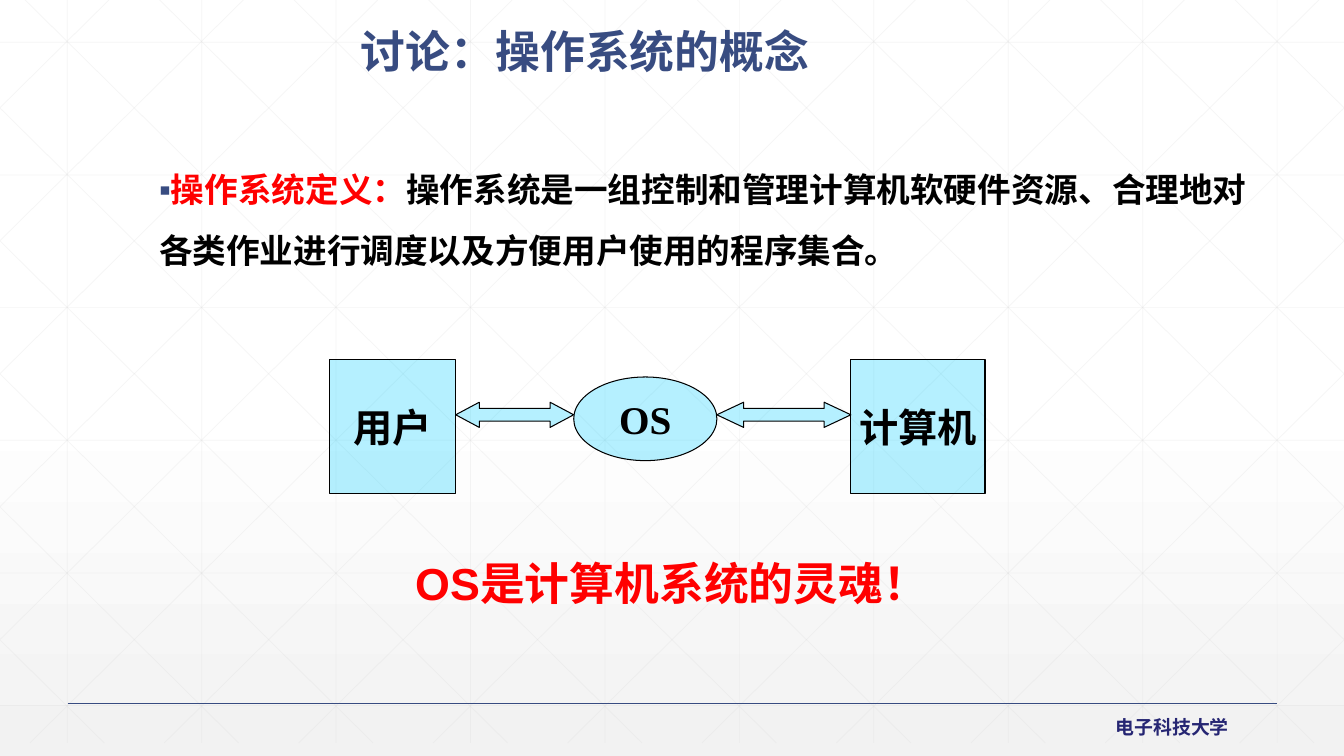
from dataclasses import dataclass

from lxml.etree import SubElement
from pptx import Presentation
from pptx.dml.color import RGBColor
from pptx.enum.shapes import MSO_CONNECTOR as Connector, MSO_SHAPE as Shape
from pptx.enum.text import MSO_ANCHOR as Anchor, PP_ALIGN as Align
from pptx.oxml.ns import qn
from pptx.util import Inches, Pt


@dataclass(frozen=True)
class Theme:
    navy: str = "384C81"
    footer: str = "262673"
    red: str = "FF0000"
    black: str = "000000"
    cyan: str = "00CCFF"
    grid: str = "D9D9D9"
    white: str = "FFFFFF"
    shade: str = "F2F2F2"
    cjk: str = "Noto Sans CJK SC"
    serif: str = "Times New Roman"
    sans: str = "Arial"
    headline: float = 32
    label: float = 28
    body: float = 24
    small: float = 13.5


WIDTH, HEIGHT = 13.33, 7.5
GRID_BOTTOM = 7.37
GRID_STEP = 4 / 3


class SlideBuilder:
    def __init__(self, deck, theme):
        self.theme = theme
        self.slide = deck.slides.add_slide(deck.slide_layouts[5])
        self.shapes = self.slide.shapes

    def background(self):
        fill = self.slide.background.fill
        fill.gradient()
        fill.gradient_angle = 270
        colours = (self.theme.white, self.theme.shade)
        for stop, position, colour in zip(fill.gradient_stops, (0.53, 1), colours):
            stop.position = position
            stop.color.rgb = RGBColor.from_string(colour)

    def set_alpha(self, fill, percent):
        colour = fill._xPr.find(qn("a:solidFill"))[0]
        SubElement(colour, qn("a:alpha"), val=str(percent * 1000))

    def line(self, start, end, colour, weight, alpha=None):
        points = [Inches(value) for value in (*start, *end)]
        line = self.shapes.add_connector(Connector.STRAIGHT, *points)
        line.line.color.rgb = RGBColor.from_string(colour)
        line.line.width = Pt(weight)
        if alpha:
            self.set_alpha(line.line.fill, alpha)
        SubElement(line._element.spPr, qn("a:effectLst"))

    def grid_line(self, start, end):
        self.line(start, end, self.theme.grid, 0.5, 25)

    def grid(self):
        for column in range(10):
            x = GRID_STEP * (column + 0.5)
            self.grid_line((x, 0), (x, GRID_BOTTOM))
        for row in range(6):
            y = 0.42 + 1.316 * row
            self.grid_line((0, y), (WIDTH, y))
        run = 7.45
        slope = GRID_BOTTOM / run
        for step in range(-5, 10):
            x = 0.25 + GRID_STEP * step
            left, right = max(x, 0), min(x + run, WIDTH)
            top, bottom = (left - x) * slope, (right - x) * slope
            self.grid_line((left, top), (right, bottom))
            self.grid_line((WIDTH - left, top), (WIDTH - right, bottom))

    def add_run(self, para, text, size, colour, font):
        run = para.add_run()
        run.text = text
        run.font.size = Pt(size)
        run.font.bold = True
        run.font.name = font
        run.font.color.rgb = RGBColor.from_string(colour)
        SubElement(run.font._element, qn("a:ea"), typeface=self.theme.cjk)

    def title(self, text, place):
        title = self.shapes.title
        title.left, title.top, title.width, title.height = map(Inches, place)
        self.shapes._spTree.append(title._element)
        frame = title.text_frame
        frame.vertical_anchor = Anchor.TOP
        frame.margin_left = Inches(0.25)
        para = frame.paragraphs[0]
        para.alignment = Align.LEFT
        para.line_spacing = 0.9
        self.add_run(para, text, self.theme.headline, self.theme.navy, self.theme.cjk)

    def text(self, spans, place, size, font, wrap=True, spacing=None, bullet=None):
        box = self.shapes.add_textbox(*map(Inches, place))
        box.text_frame.word_wrap = wrap
        para = box.text_frame.paragraphs[0]
        if spacing:
            para.line_spacing = spacing
        if bullet:
            properties = para._p.get_or_add_pPr()
            colour = SubElement(properties, qn("a:buClr"))
            SubElement(colour, qn("a:srgbClr"), val=self.theme.navy)
            SubElement(properties, qn("a:buFont"), typeface=self.theme.sans)
            SubElement(properties, qn("a:buChar"), char=bullet)
        for text, colour in spans:
            self.add_run(para, text, size, colour, font)

    def node(self, kind, place, label=None):
        shape = self.shapes.add_shape(kind, *map(Inches, place))
        shape.shadow.inherit = False
        shape.fill.solid()
        shape.fill.fore_color.rgb = RGBColor.from_string(self.theme.cyan)
        self.set_alpha(shape.fill, 29)
        shape.line.color.rgb = RGBColor.from_string(self.theme.black)
        shape.line.width = Pt(0.75)
        if label:
            frame = shape.text_frame
            frame.word_wrap = False
            frame.vertical_anchor = Anchor.MIDDLE
            para = frame.paragraphs[0]
            para.alignment = Align.CENTER
            self.add_run(para, label, self.theme.label, self.theme.black, self.theme.serif)
        return shape

    def double_arrow(self, left, right):
        width, height = right - left, 0.25
        arrow = self.node(Shape.LEFT_RIGHT_ARROW, (left, 3.99, width, height))
        arrow.adjustments[0] = 0.5
        arrow.adjustments[1] = 0.2 * width / height


def main():
    deck = Presentation()
    deck.slide_width, deck.slide_height = Inches(WIDTH), Inches(HEIGHT)
    theme = Theme()
    page = SlideBuilder(deck, theme)

    page.background()
    page.grid()
    page.line((0.67, 6.98), (12.67, 6.98), theme.navy, 1)
    page.text([("电子科技大学", theme.footer)], (10.97, 7.05, 1.34, 0.33),
              theme.small, theme.cjk, wrap=False)
    page.title("讨论：操作系统的概念", (3.33, 0.25, 8.33, 1.08))

    definition = [
        ("操作系统定义：", theme.red),
        ("操作系统是一组控制和管理计算机软硬件资源、合理地对各类作业进行调度以及方便用户使用的程序集合。",
         theme.black),
    ]
    page.text(definition, (1.48, 1.43, 11.07, 2.25), theme.body, theme.cjk,
              spacing=1.5, bullet="▪")

    page.node(Shape.RECTANGLE, (3.27, 3.57, 1.25, 1.33), "用户")
    page.node(Shape.RECTANGLE, (8.44, 3.57, 1.33, 1.33), "计算机")
    page.node(Shape.OVAL, (5.69, 3.74, 1.42, 0.83), "OS")
    page.double_arrow(4.52, 5.69)
    page.double_arrow(7.11, 8.44)
    page.text([("OS是计算机系统的灵魂！", theme.red)], (4.02, 5.46, 5.34, 0.63),
              theme.headline, theme.sans)

    deck.save("out.pptx")


if __name__ == "__main__":
    main()
